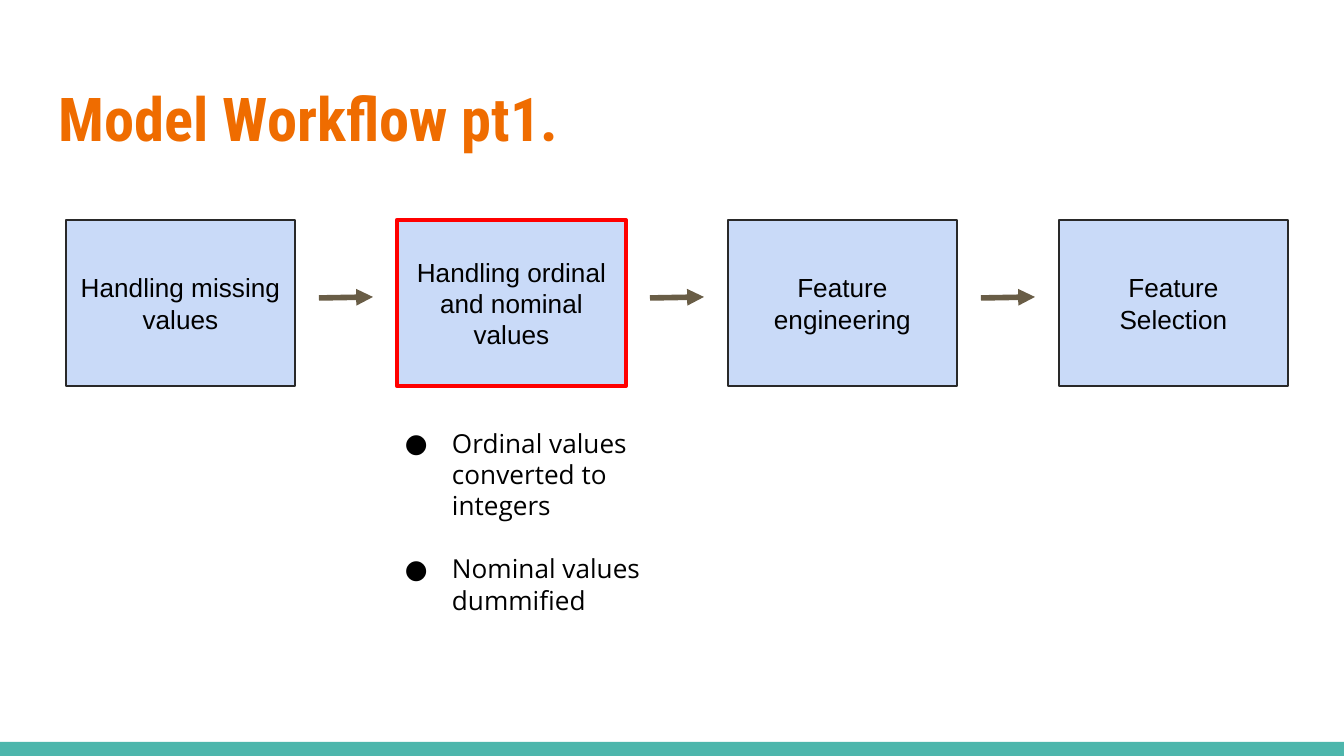
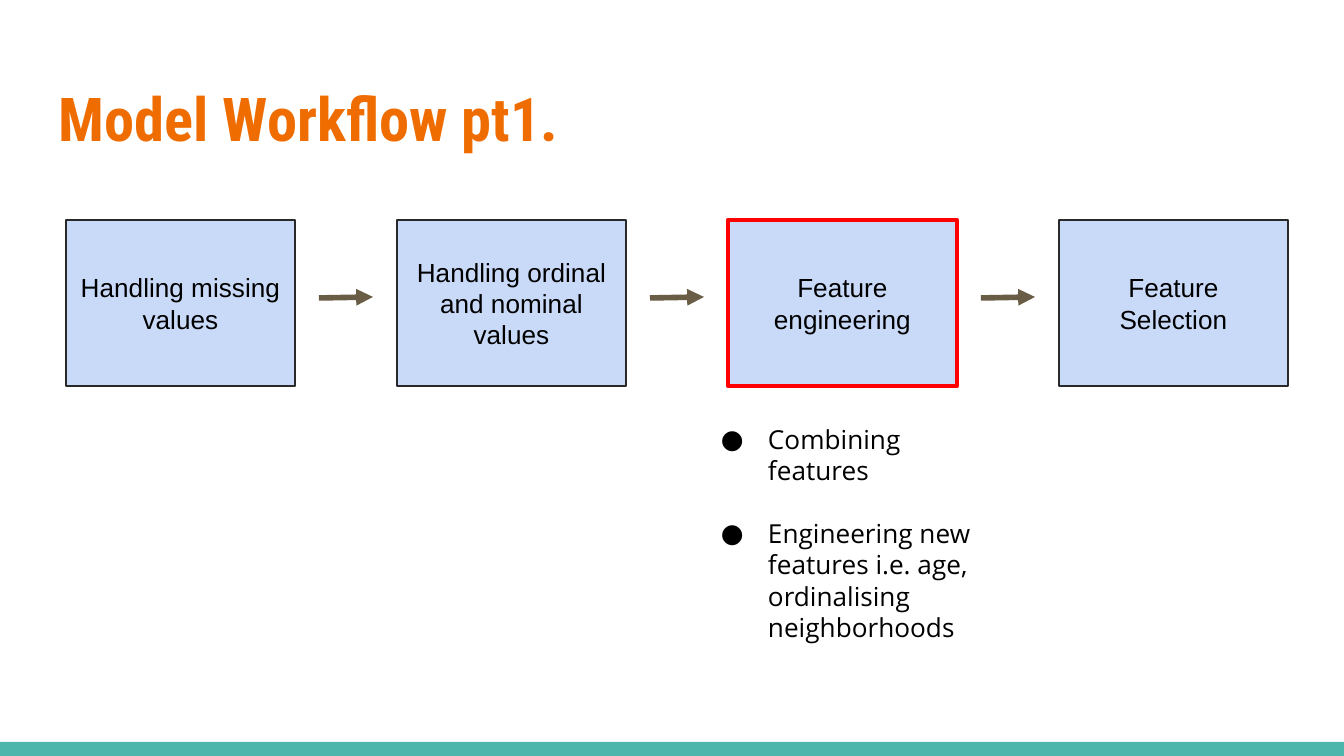
from lxml import etree
from pptx import Presentation
from pptx.dml.color import RGBColor
from pptx.enum.shapes import MSO_CONNECTOR, MSO_SHAPE
from pptx.enum.text import MSO_ANCHOR, MSO_AUTO_SIZE, PP_ALIGN
from pptx.oxml.ns import qn
from pptx.util import Emu, Pt

RECT = MSO_SHAPE.RECTANGLE
STRAIGHT = MSO_CONNECTOR.STRAIGHT
TOP, MIDDLE = MSO_ANCHOR.TOP, MSO_ANCHOR.MIDDLE
LEFT, CENTER = PP_ALIGN.LEFT, PP_ALIGN.CENTER
NO_FIT = MSO_AUTO_SIZE.NONE

EMU_PER_PX = 914400 / 134.4
SLIDE_W, SLIDE_H = 1344, 756
INSET = 13
LINE_PITCH = Pt(16.8)

COLORS = {
    "band": "4DB6AC",
    "title": "EF6C00",
    "step": "C9DAF8",
    "outline": "292929",
    "highlight": "FF0000",
    "arrow": "695D46",
    "text": "000000",
}
TITLE_FONT = {"name": "Roboto Condensed", "size": Pt(32.4), "bold": True}
STEP_FONT = {"name": "Arial", "size": Pt(14)}
LIST_FONT = {"name": "Open Sans", "size": Pt(14)}

TITLE = "Model Workflow pt1."
TITLE_BOX = (46, 66, 1253, 103)
BAND_BOX = (0, 742, SLIDE_W, 14)
FLOW_BOX = (66, 220, 1222, 166)
STEP_W = 229
ARROW_W, ARROW_Y, ARROW_RISE = 54, 78, 1
BULLET_INDENT, BULLET_HANG = 67, 47

STEPS = [
    "Handling missing values",
    "Handling ordinal and nominal values",
    "Feature engineering",
    "Feature Selection",
]
SLIDES = [
    {
        "current": 1,
        "box": (372, 414, 319, 218),
        "notes": ["Ordinal values converted to integers", "Nominal values dummified"],
    },
    {
        "current": 2,
        "box": (688, 410, 309, 249),
        "notes": [
            "Combining features",
            "Engineering new\vfeatures i.e. age, ordinalising neighborhoods",
        ],
    },
]


def px(n):
    return Emu(round(n * EMU_PER_PX))


def rgb(key):
    return RGBColor.from_string(COLORS[key])


def set_all(obj, values):
    for name, value in values.items():
        setattr(obj, name, value)


def place(sp, box):
    set_all(sp, dict(zip(("left", "top", "width", "height"), map(px, box))))


def format_frame(tf, anchor):
    margins = ("margin_left", "margin_top", "margin_right", "margin_bottom")
    set_all(tf, dict.fromkeys(margins, px(INSET)))
    set_all(tf, {"word_wrap": True, "auto_size": NO_FIT, "vertical_anchor": anchor})


def write(p, text, font, color, **layout):
    p.text = text
    set_all(p, layout)
    for r in p.runs:
        set_all(r.font, font)
        r.font.color.rgb = rgb(color)


def add_rect(slide, box, fill):
    sp = slide.shapes.add_shape(RECT, *map(px, box))
    sp.shadow.inherit = False
    sp.fill.solid()
    sp.fill.fore_color.rgb = rgb(fill)
    return sp


def add_band(slide, box):
    add_rect(slide, box, "band").line.fill.background()


def fill_title(slide, box):
    sp = slide.shapes.title
    place(sp, box)
    tf = sp.text_frame
    format_frame(tf, MIDDLE)
    write(tf.paragraphs[0], TITLE, TITLE_FONT, "title", alignment=LEFT)


def add_step(slide, box, text, is_current):
    sp = add_rect(slide, box, "step")
    sp.line.color.rgb = rgb("highlight" if is_current else "outline")
    sp.line.width = Pt(2.25 if is_current else 0.75)
    tf = sp.text_frame
    format_frame(tf, MIDDLE)
    write(tf.paragraphs[0], text, STEP_FONT, "text",
          alignment=CENTER, line_spacing=LINE_PITCH)


def add_arrow(slide, x, y):
    ends = (x, y, x + ARROW_W, y - ARROW_RISE)
    line = slide.shapes.add_connector(STRAIGHT, *map(px, ends))
    line.line.color.rgb = rgb("arrow")
    line.line.width = Pt(3)
    sp_pr = line.line._get_or_add_ln().getparent()
    etree.SubElement(sp_pr.find(qn("a:ln")), qn("a:tailEnd"), type="triangle")
    etree.SubElement(sp_pr, qn("a:effectLst"))


def add_flow(slide, box, current):
    """Spread the steps evenly over the box, with an arrow centred in each gap."""
    left, top, width, height = box
    pitch = (width - STEP_W) // (len(STEPS) - 1)
    arrow_dx = STEP_W + (pitch - STEP_W - ARROW_W) // 2
    for i, text in enumerate(STEPS):
        x = left + i * pitch
        add_step(slide, (x, top, STEP_W, height), text, i == current)
        if i < len(STEPS) - 1:
            add_arrow(slide, x + arrow_dx, top + ARROW_Y)


def add_bullet(p):
    p_pr = p._p.get_or_add_pPr()
    p_pr.set("marL", str(px(BULLET_INDENT)))
    p_pr.set("indent", str(-px(BULLET_HANG)))
    color = etree.SubElement(p_pr, qn("a:buClr"))
    etree.SubElement(color, qn("a:srgbClr"), val=COLORS["text"])
    etree.SubElement(p_pr, qn("a:buFont"), typeface=LIST_FONT["name"])
    etree.SubElement(p_pr, qn("a:buChar"), char="●")


def fill_list(slide, box, notes):
    sp = slide.placeholders[1]
    place(sp, box)
    tf = sp.text_frame
    format_frame(tf, TOP)
    for i, text in enumerate(notes):
        p = tf.add_paragraph() if i else tf.paragraphs[0]
        add_bullet(p)
        write(p, text, LIST_FONT, "text", alignment=LEFT, line_spacing=LINE_PITCH,
              space_before=LINE_PITCH if i else Pt(0))


def add_workflow_slide(prs, current, box, notes):
    slide = prs.slides.add_slide(prs.slide_layouts[1])
    add_band(slide, BAND_BOX)
    fill_title(slide, TITLE_BOX)
    add_flow(slide, FLOW_BOX, current)
    fill_list(slide, box, notes)


def main():
    prs = Presentation()
    prs.slide_width, prs.slide_height = px(SLIDE_W), px(SLIDE_H)
    for content in SLIDES:
        add_workflow_slide(prs, **content)
    prs.save("out.pptx")


if __name__ == "__main__":
    main()
